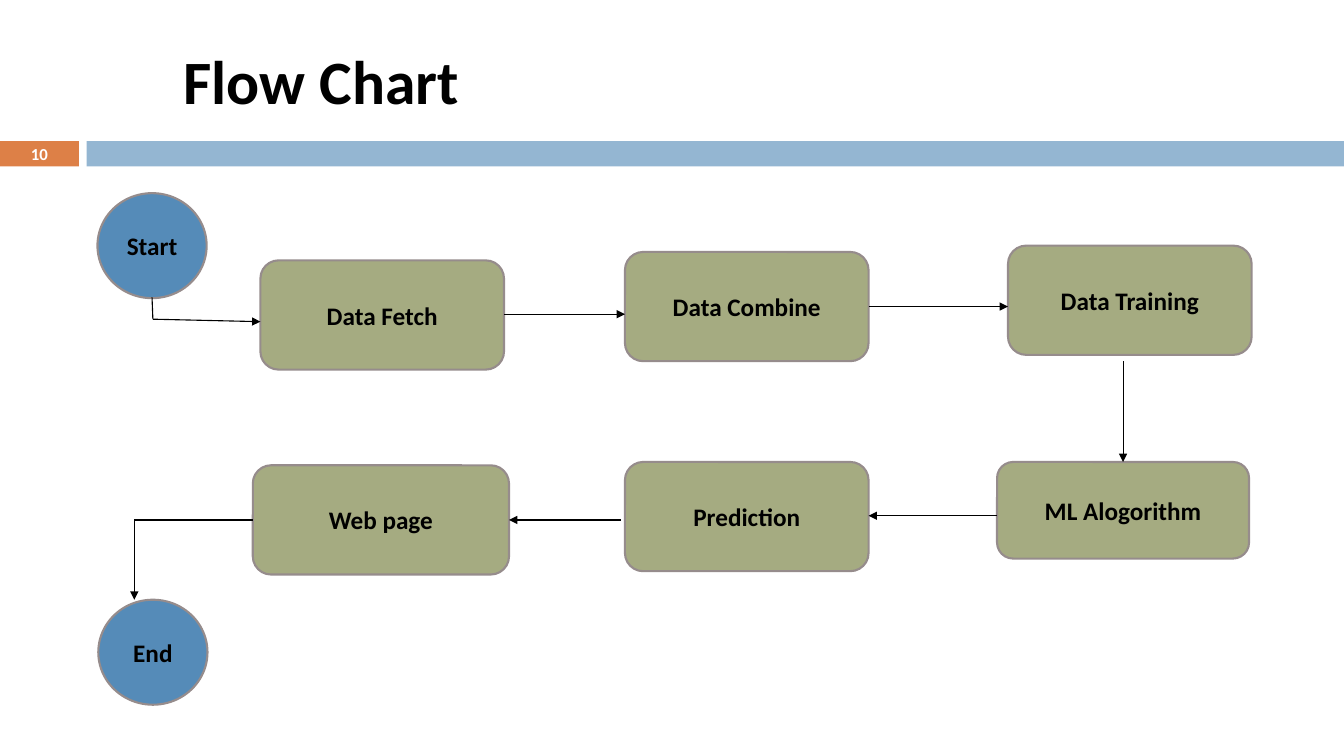
import dataclasses
import itertools

import lxml.etree
import pptx
import pptx.dml.color
import pptx.enum.shapes
import pptx.enum.text
import pptx.oxml.ns
import pptx.util

SHAPE = pptx.enum.shapes.MSO_SHAPE
ALIGN = pptx.enum.text.PP_ALIGN
COLUMNS, ROWS = 160, 90
COLORS = {
    "ink": "000000",
    "white": "FFFFFF",
    "orange": "DD8047",
    "band": "94B6D2",
    "step": "A5AB81",
    "terminal": "558BB8",
    "outline": "968C8C",
}
Point = tuple[float, float]


@dataclasses.dataclass(frozen=True)
class Block:
    """A filled shape, placed in grid columns and rows."""
    left: float
    top: float
    width: float
    height: float
    fill: str
    text: str = ""
    kind: SHAPE = SHAPE.RECTANGLE
    outlined: bool = False
    size: float = 18
    color: str = "ink"


def step(text: str, left: float, top: float, width: float = 29, height: float = 13) -> Block:
    return Block(left, top, width, height, "step", text, SHAPE.ROUNDED_RECTANGLE, True)


def terminal(text: str, left: float, top: float) -> Block:
    return Block(left, top, 13, 12.5, "terminal", text, SHAPE.OVAL, True)


BLOCKS = [
    Block(0, 16.8, 9.4, 3, "orange", "10", size=12, color="white"),
    Block(10.3, 16.8, 149.7, 3, "band"),
    step("Data Combine", 74.4, 30),
    step("Data Training", 120, 29.25),
    step("ML Alogorithm", 118.7, 55, 30, 11.5),
    step("Prediction", 74.4, 55),
    step("Web page", 30.1, 55.4, 30.5),
    step("Data Fetch", 31, 31),
    terminal("Start", 11.6, 23),
    terminal("End", 11.7, 71.4),
]
# Each route is a chain of grid points whose last leg ends in an arrowhead.
ROUTES: list[list[Point]] = [
    [(60, 37.4), (74.4, 37.4)],
    [(133.7, 43), (133.7, 55)],
    [(103.4, 36.5), (120, 36.5)],
    [(73.9, 61.9), (60.6, 61.9)],
    [(118.7, 61.4), (103.4, 61.4)],
    [(18.1, 35.4), (18.2, 38), (31, 38.3)],
    [(30.1, 61.9), (16, 61.9), (16, 71.4)],
]

deck = pptx.Presentation()
deck.slide_width = pptx.util.Inches(13.33)
deck.slide_height = pptx.util.Inches(7.5)


def across(columns: float) -> int:
    return round(deck.slide_width * columns / COLUMNS)


def down(rows: float) -> int:
    return round(deck.slide_height * rows / ROWS)


def rgb(name: str) -> pptx.dml.color.RGBColor:
    return pptx.dml.color.RGBColor.from_string(COLORS[name])


def write(shape, text: str, size: float, color: str, alignment: ALIGN) -> None:
    frame = shape.text_frame
    frame.word_wrap = True
    frame.vertical_anchor = pptx.enum.text.MSO_ANCHOR.MIDDLE
    para = frame.paragraphs[0]
    para.text = text
    para.alignment = alignment
    para.font.name = "Calibri"
    para.font.size = pptx.util.Pt(size)
    para.font.bold = True
    para.font.color.rgb = rgb(color)


def draw_block(page, block: Block) -> None:
    shape = page.shapes.add_shape(
        block.kind, across(block.left), down(block.top), across(block.width), down(block.height))
    shape.shadow.inherit = False
    shape.fill.solid()
    shape.fill.fore_color.rgb = rgb(block.fill)
    if block.outlined:
        shape.line.color.rgb = rgb("outline")
        shape.line.width = pptx.util.Pt(1.5)
    else:
        shape.line.fill.background()
    if block.text:
        write(shape, block.text, block.size, block.color, ALIGN.CENTER)


def draw_leg(page, start: Point, end: Point, arrow: bool) -> None:
    leg = page.shapes.add_connector(
        pptx.enum.shapes.MSO_CONNECTOR.STRAIGHT,
        across(start[0]), down(start[1]), across(end[0]), down(end[1]))
    leg.line.color.rgb = rgb("ink")
    leg.line.width = pptx.util.Pt(0.79)
    qn = pptx.oxml.ns.qn
    if arrow:
        lxml.etree.SubElement(leg.line._get_or_add_ln(), qn("a:tailEnd"), type="triangle")
    lxml.etree.SubElement(leg._element.spPr, qn("a:effectLst"))


def main() -> None:
    page = deck.slides.add_slide(deck.slide_layouts[6])
    title = page.shapes.add_textbox(across(19), down(3), across(123), down(13))
    write(title, " Flow Chart", 44, "ink", ALIGN.LEFT)
    for block in BLOCKS:
        draw_block(page, block)
    for route in ROUTES:
        for start, end in itertools.pairwise(route):
            draw_leg(page, start, end, arrow=end == route[-1])
    deck.save("out.pptx")


if __name__ == "__main__":
    main()
